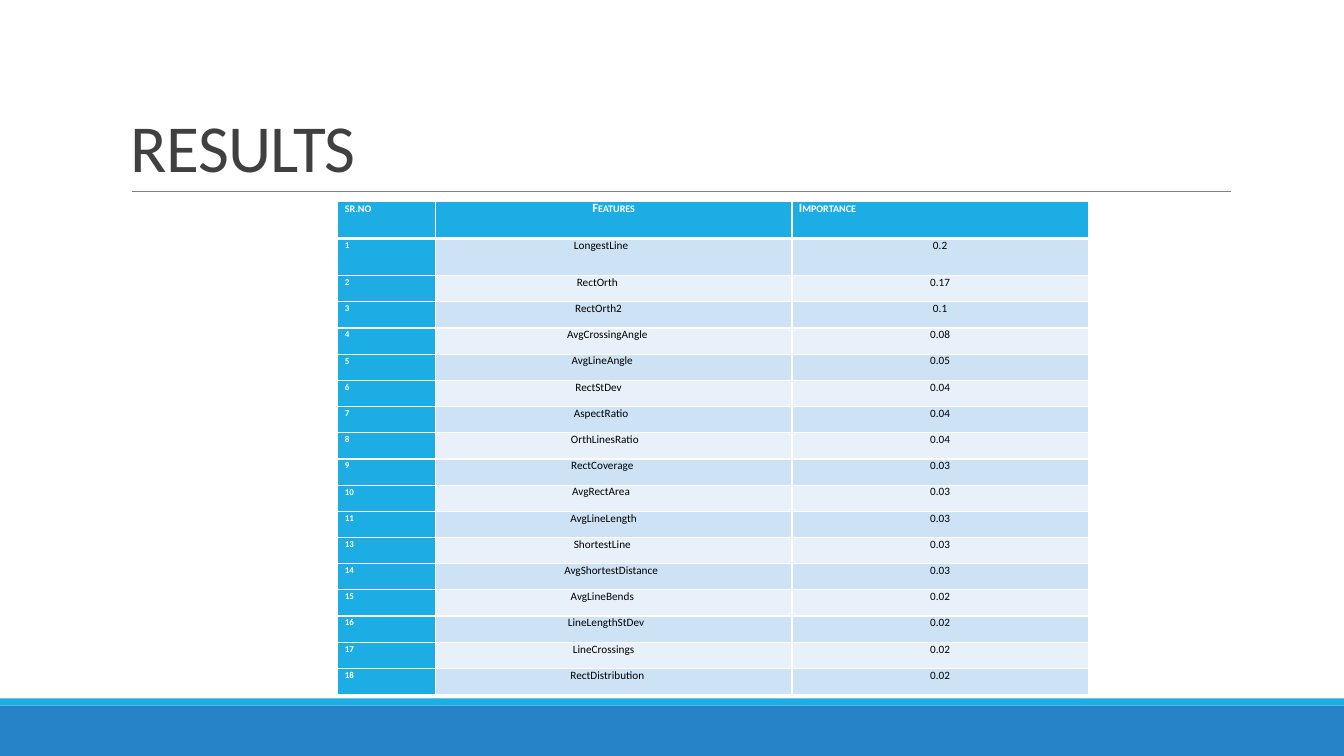
from lxml.etree import SubElement
from pptx import Presentation
from pptx.dml.color import RGBColor as Rgb
from pptx.enum.shapes import MSO_CONNECTOR as Connector, MSO_SHAPE as Shape
from pptx.enum.text import MSO_ANCHOR as Anchor, PP_ALIGN as Align
from pptx.oxml.ns import qn
from pptx.util import Inches, Pt

COLORS = {
    "white": "FFFFFF", "black": "000000", "title": "404040", "rule": "808080",
    "accent": "1CADE4", "footer": "2683C6", "odd": "CDE3F5", "even": "E8F1FA",
}
HEADER = ("sr.no", "Features", "Importance")
FEATURES = (
    ("1", "LongestLine", "0.2"),
    ("2", "RectOrth", "0.17"),
    ("3", "RectOrth2", "0.1"),
    ("4", "AvgCrossingAngle", "0.08"),
    ("5", "AvgLineAngle", "0.05"),
    ("6", "RectStDev", "0.04"),
    ("7", "AspectRatio", "0.04"),
    ("8", "OrthLinesRatio", "0.04"),
    ("9", "RectCoverage", "0.03"),
    ("10", "AvgRectArea", "0.03"),
    ("11", "AvgLineLength", "0.03"),
    ("13", "ShortestLine", "0.03"),
    ("14", "AvgShortestDistance", "0.03"),
    ("15", "AvgLineBends", "0.02"),
    ("16", "LineLengthStDev", "0.02"),
    ("17", "LineCrossings", "0.02"),
    ("18", "RectDistribution", "0.02"),
)
LABEL = {"line_spacing": 0.9, "space_before": Pt(12), "space_after": Pt(6)}
NAME_WIDTH = 21
SPACE_WIDTH = 0.25


class ResultsPage:
    """Draws styled elements on one slide, on a grid of 133.3 columns by 75 rows."""

    font = "Calibri"
    columns, rows = 133.3, 75

    def __init__(self):
        self.deck = Presentation()
        self.deck.slide_width, self.deck.slide_height = Inches(13.33), Inches(7.5)
        self.page = self.deck.slides.add_slide(self.deck.slide_layouts[6])

    def across(self, count):
        return round(self.deck.slide_width * count / self.columns)

    def down(self, count):
        return round(self.deck.slide_height * count / self.rows)

    def area(self, left, top, width, height):
        return self.across(left), self.down(top), self.across(width), self.down(height)

    def color(self, name):
        return Rgb.from_string(COLORS[name])

    def apply(self, target, values):
        for name, value in values.items():
            setattr(target, name, value)

    def text(self, frame, words, size, color, layout, bold=False, **extras):
        para = frame.paragraphs[0]
        self.apply(para, layout)
        span = para.add_run()
        span.text = words
        self.apply(span.font, {"name": self.font, "size": Pt(size), "bold": bold})
        span.font.color.rgb = self.color(color)
        for name, value in extras.items():
            span._r.get_or_add_rPr().set(name, value)

    def band(self, top, height, color):
        box = self.page.shapes.add_shape(
            Shape.RECTANGLE, *self.area(0, top, self.columns, height))
        box.shadow.inherit = False
        box.fill.solid()
        box.fill.fore_color.rgb = self.color(color)
        box.line.fill.background()

    def rule(self, left, right, row):
        line = self.page.shapes.add_connector(
            Connector.STRAIGHT, self.across(left), self.down(row),
            self.across(right), self.down(row))
        line.line.color.rgb = self.color("rule")
        line.line.width = Pt(0.5)
        SubElement(line._element.spPr, qn("a:effectLst"))

    def title(self, words, *place):
        frame = self.page.shapes.add_textbox(*self.area(*place)).text_frame
        self.apply(frame, {"word_wrap": True, "vertical_anchor": Anchor.BOTTOM})
        self.text(frame, words, 48, "title", {"line_spacing": 0.85}, spc="-50")

    def borders(self, cell, widths):
        properties = cell._tc.get_or_add_tcPr()
        for side, width in widths.items():
            edge = SubElement(properties, qn(f"a:ln{side}"), w=str(Pt(width)))
            paint = SubElement(edge, qn("a:solidFill"))
            SubElement(paint, qn("a:srgbClr"), val=COLORS["white"])

    def cell(self, cell, words, row, column):
        heading, label = row == 0, row == 0 or column == 0
        padding = 0 if label or column != 1 else NAME_WIDTH - len(words)
        self.apply(cell, {
            "margin_left": self.across(0.7), "margin_top": 0, "margin_bottom": 0,
            "margin_right": self.across(0.7 + SPACE_WIDTH * padding)})
        below = 3 if heading else 1
        above = 3 if row == 1 else 1
        self.borders(cell, {"L": 1, "R": 1, "T": above, "B": below})
        cell.fill.solid()
        shade = "accent" if label else "odd" if row % 2 else "even"
        cell.fill.fore_color.rgb = self.color(shade)
        centered = column == 1 or not label
        layout = {"alignment": Align.CENTER if centered else Align.JUSTIFY}
        if label:
            self.text(cell.text_frame, words, 9 if heading else 8, "white",
                      layout | LABEL, bold=True, cap="small")
        else:
            self.text(cell.text_frame, words, 8, "black", layout)

    def table(self, records, left, top, widths, heights):
        grid = self.page.shapes.add_table(
            len(records), len(widths),
            *self.area(left, top, sum(widths), sum(heights))).table
        for column, width in zip(grid.columns, widths):
            column.width = self.across(width)
        for row, height in zip(grid.rows, heights):
            row.height = self.down(height)
        for row, record in enumerate(records):
            for column, words in enumerate(record):
                self.cell(grid.cell(row, column), words, row, column)


def main():
    results = ResultsPage()
    results.band(70, 5, "footer")
    results.band(69.3, 0.7, "accent")
    results.rule(13.1, 122.1, 19)
    results.title("RESULTS", 12, 3.1, 110, 15.9)
    heights = [3.67] * 2 + [2.6] * (len(FEATURES) - 1)
    results.table((HEADER, *FEATURES), 33.5, 20, (9.7, 35.35, 29.4), heights)
    results.deck.save("out.pptx")


if __name__ == "__main__":
    main()
